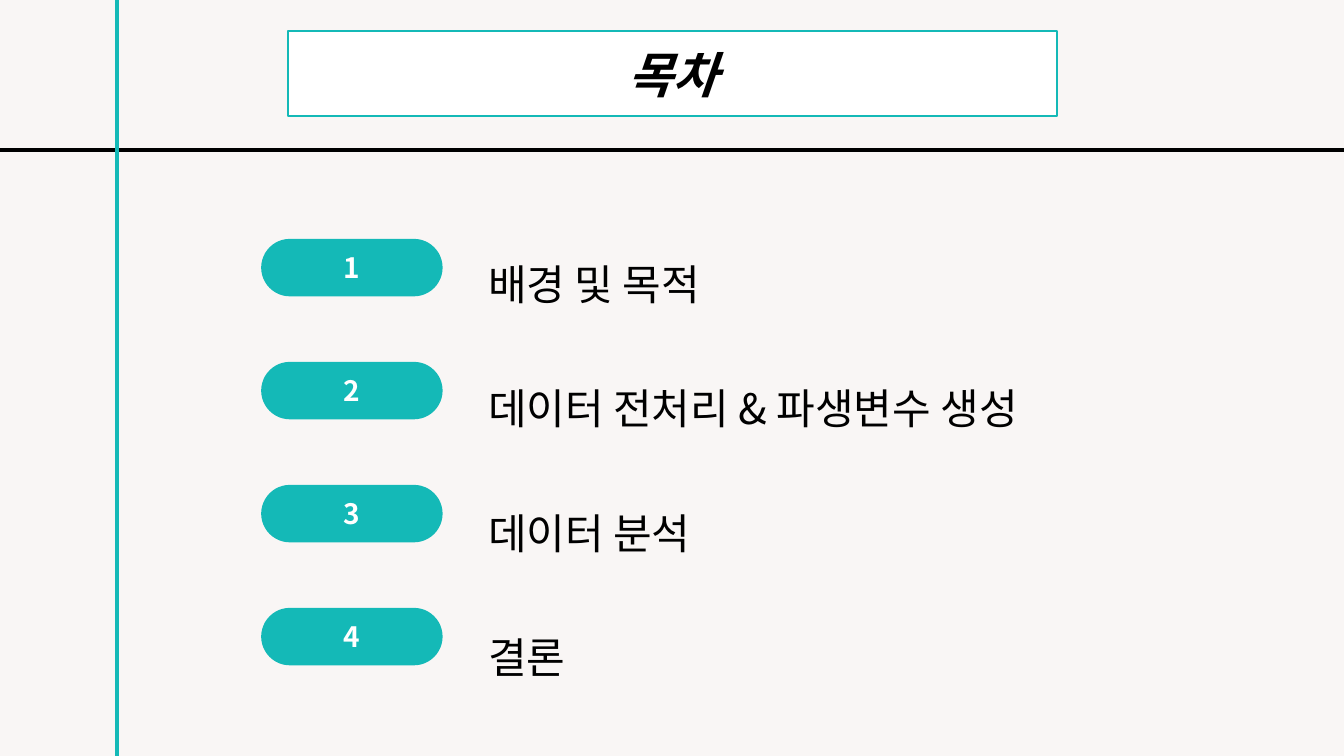
from lxml import etree
from pptx import Presentation
from pptx.dml.color import RGBColor
from pptx.enum.shapes import MSO_CONNECTOR, MSO_SHAPE
from pptx.enum.text import MSO_ANCHOR, MSO_AUTO_SIZE, PP_ALIGN
from pptx.oxml.ns import qn
from pptx.util import Inches, Pt

STRAIGHT = MSO_CONNECTOR.STRAIGHT
PILL = MSO_SHAPE.ROUNDED_RECTANGLE
MIDDLE, TOP = MSO_ANCHOR.MIDDLE, MSO_ANCHOR.TOP
CENTER, LEFT = PP_ALIGN.CENTER, PP_ALIGN.LEFT
NO_AUTOFIT = MSO_AUTO_SIZE.NONE

WIDTH, HEIGHT = Inches(13.33), Inches(7.5)
FONT = "Noto Sans CJK KR"
COLORS = {"paper": "F9F6F5", "teal": "14B9B7", "ink": "000000", "white": "FFFFFF"}
TOPICS = ["배경 및 목적", "데이터 전처리 & 파생변수 생성", "데이터 분석", "결론"]
FIRST_ROW, ROW_PITCH = 31.6, 16.27


def color(name):
    return RGBColor.from_string(COLORS[name])


def across(percent):
    return round(WIDTH * percent / 100)


def down(percent):
    return round(HEIGHT * percent / 100)


def box(left, top, width, height):
    return across(left), down(top), across(width), down(height)


def move(placeholder, area):
    placeholder.left, placeholder.top, placeholder.width, placeholder.height = area


def fill(shape, name):
    shape.fill.solid()
    shape.fill.fore_color.rgb = color(name)


def style(paragraph, size, ink, align, bold=False, italic=False):
    paragraph.alignment = align
    font = paragraph.font
    font.name, font.size = FONT, Pt(size)
    font.bold, font.italic = bold, italic
    font.color.rgb = color(ink)
    defaults = paragraph._p.pPr.find(qn("a:defRPr"))
    etree.SubElement(defaults, qn("a:ea")).set("typeface", FONT)


def remove_bullet(paragraph):
    properties = paragraph._p.pPr
    properties.set("marL", "0")
    properties.set("indent", "0")
    defaults = properties.find(qn("a:defRPr"))
    defaults.addprevious(etree.Element(qn("a:buNone")))


def write_heading(heading):
    move(heading, box(21.46, 4.13, 57.16, 11.2))
    fill(heading, "white")
    heading.line.color.rgb = color("teal")
    heading.line.width = Pt(1.5)
    frame = heading.text_frame
    frame.text = "목차"
    frame.auto_size = NO_AUTOFIT
    frame.vertical_anchor = MIDDLE
    style(frame.paragraphs[0], 35, "ink", CENTER, bold=True, italic=True)


def write_topics(topics):
    move(topics, box(35.56, 32, 48.16, 59))
    frame = topics.text_frame
    frame.text = "\n".join(TOPICS)
    frame.auto_size = NO_AUTOFIT
    frame.vertical_anchor = TOP
    for topic in frame.paragraphs:
        style(topic, 30, "ink", LEFT)
        remove_bullet(topic)
        topic.line_spacing = Pt(44)
        topic.space_before = Pt(0)
        topic.space_after = Pt(45)


def add_number(slide, row):
    area = box(19.43, FIRST_ROW + row * ROW_PITCH, 13.5, 7.6)
    pill = slide.shapes.add_shape(PILL, *area)
    pill.adjustments[0] = 0.5
    pill.shadow.inherit = False
    fill(pill, "teal")
    pill.line.fill.background()
    pill.text_frame.text = str(row + 1)
    pill.text_frame.vertical_anchor = MIDDLE
    style(pill.text_frame.paragraphs[0], 20, "white", CENTER, bold=True)


def add_rule(slide, start, end, name):
    rule = slide.shapes.add_connector(
        STRAIGHT, across(start[0]), down(start[1]), across(end[0]), down(end[1]))
    rule.line.color.rgb = color(name)
    rule.line.width = Pt(3)
    etree.SubElement(rule._element.spPr, qn("a:effectLst"))


def main():
    deck = Presentation()
    deck.slide_width, deck.slide_height = WIDTH, HEIGHT
    slide = deck.slides.add_slide(deck.slide_layouts[1])
    fill(slide.background, "paper")
    heading, topics = slide.placeholders
    write_heading(heading)
    write_topics(topics)
    for row in range(len(TOPICS)):
        add_number(slide, row)
    add_rule(slide, (-0.98, 19.87), (104.13, 19.87), "ink")
    add_rule(slide, (8.7, -1.33), (8.7, 105.07), "teal")
    deck.save("out.pptx")


if __name__ == "__main__":
    main()
